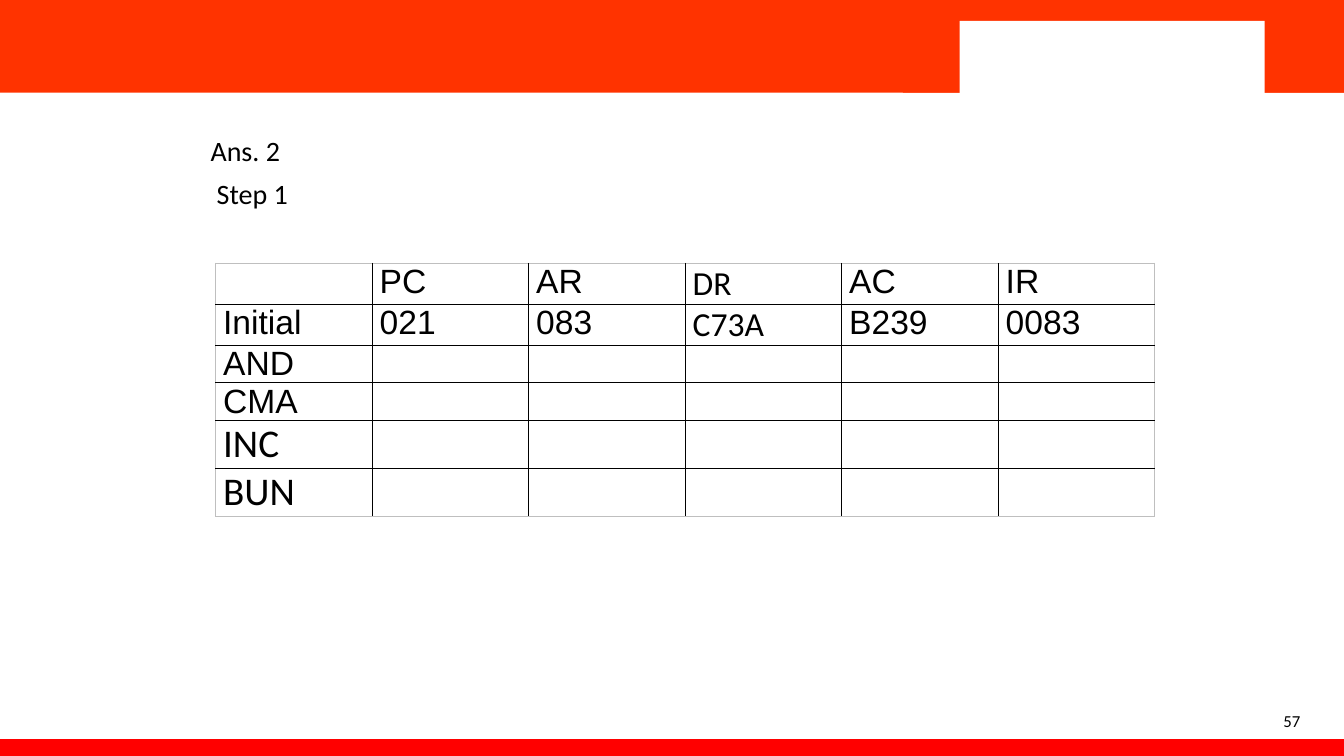
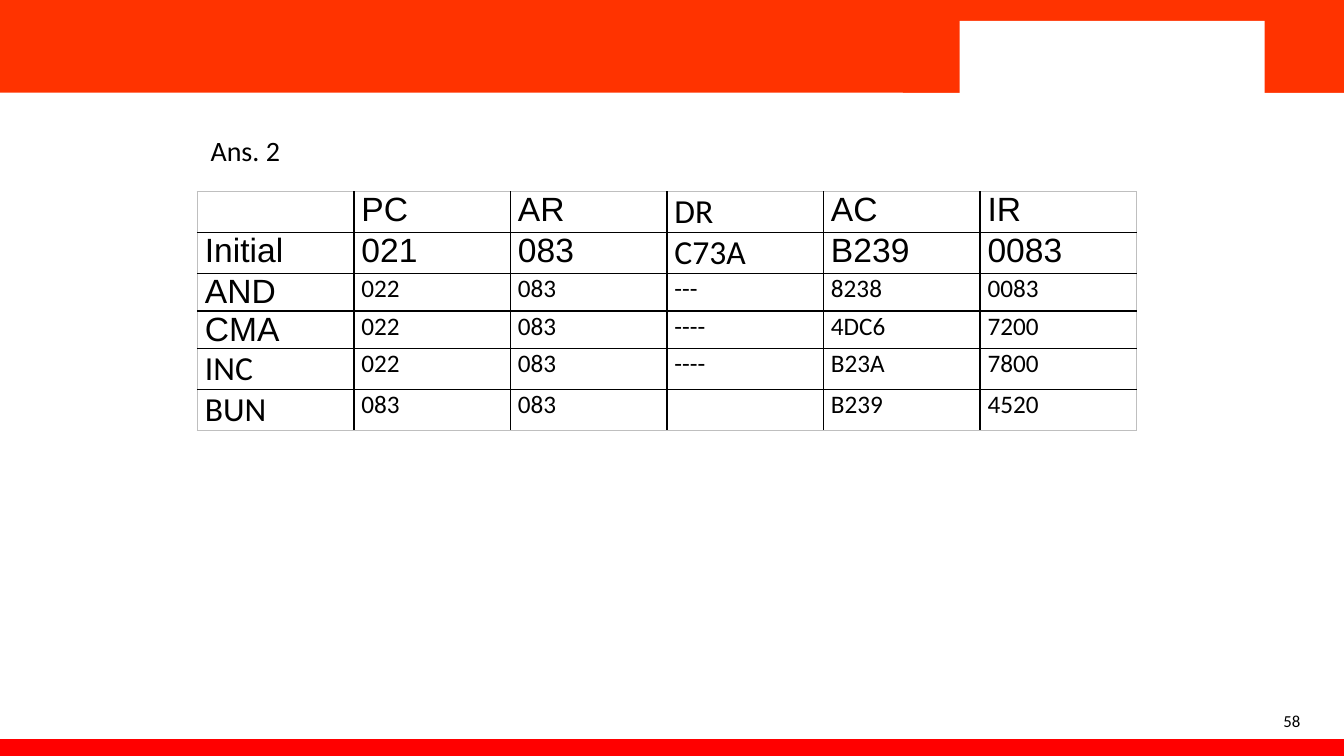
import pptx
import pptx.util
import pptx.dml.color
import pptx.enum.shapes
import pptx.enum.text
import pptx.oxml.ns
import lxml.etree

Pt = pptx.util.Pt
ALIGN = pptx.enum.text.PP_ALIGN
ANCHOR = pptx.enum.text.MSO_ANCHOR

WIDE, HIGH = 960, 540
ORANGE, RED, WHITE, BLACK, GRAY = "FF3300", "FF0000", "FFFFFF", "000000", "BFBFBF"
SANS, BODY = "Arial", "Calibri"
LINES = {(SANS, 24): 26.8, (BODY, 24): 29.3, (BODY, 28): 34.2, (BODY, 18): 22}

HEAD = [
    ["", "PC", "AR", "DR", "AC", "IR"],
    ["Initial", "021", "083", "C73A", "B239", "0083"],
]
BLANK = [[name] + [""] * 5 for name in ("AND", "CMA", "INC", "BUN")]
SOLVED = [
    ["AND", "022", "083", "---", "8238", "0083"],
    ["CMA", "022", "083", "----", "4DC6", "7200"],
    ["INC", "022", "083", "----", "B23A", "7800"],
    ["BUN", "083", "083", "", "B239", "4520"],
]


def paint(fill, color):
    fill.solid()
    fill.fore_color.rgb = pptx.dml.color.RGBColor.from_string(color)


def write(frame, text, size=20, font=BODY, color=BLACK, align=ALIGN.JUSTIFY):
    para = frame.paragraphs[0]
    para.alignment = align
    run = para.add_run()
    run.text = text
    run.font.name = font
    run.font.size = Pt(size)
    paint(run.font.fill, color)


def place(shape, box):
    shape.left, shape.top, shape.width, shape.height = map(Pt, box)


def setup(frame, anchor=ANCHOR.TOP):
    """Fix wrapping, insets and anchor of a text frame."""
    frame.word_wrap = True
    frame.auto_size = pptx.enum.text.MSO_AUTO_SIZE.NONE
    frame.vertical_anchor = anchor
    frame.margin_left = frame.margin_right = Pt(7.2)
    frame.margin_top = frame.margin_bottom = Pt(3.6)


def label(slide, text, box, anchor=ANCHOR.TOP, **style):
    shape = slide.shapes.add_textbox(*map(Pt, box))
    setup(shape.text_frame, anchor)
    write(shape.text_frame, text, **style)


def bands(slide, layout):
    """Draw the shared bands and move them to the layout."""
    parts = [
        ((0, 0, WIDE, 66.2), ORANGE),
        ((0, 528, WIDE, HIGH - 528), RED),
        ((645, 0, WIDE - 645, 66.2), ORANGE),
        ((685.4, 15, 218, 54), WHITE),
    ]
    for spot, (box, color) in enumerate(parts, 2):
        kind = pptx.enum.shapes.MSO_SHAPE.RECTANGLE
        band = slide.shapes.add_shape(kind, *map(Pt, box))
        band.shadow.inherit = False
        paint(band.fill, color)
        band.line.fill.background()
        layout.shapes.element.insert(spot, band.element)


def edge(cell, side, color, width):
    tag = pptx.oxml.ns.qn
    props = cell._tc.get_or_add_tcPr()
    line = lxml.etree.SubElement(props, tag("a:ln" + side), w=str(Pt(width)))
    fill = lxml.etree.SubElement(line, tag("a:solidFill"))
    lxml.etree.SubElement(fill, tag("a:srgbClr"), val=color)


def style(row, col, last):
    """Give the font and size of a cell; last is the size of the INC and BUN labels."""
    if row < 2:
        return (BODY if col == 3 else SANS), 24
    if col:
        return BODY, 18
    return (SANS, 24) if row < 4 else (BODY, last)


def grid(slide, rows, left, top, last):
    count, span = len(rows), len(rows[0])
    fonts = [[style(r, c, last) for c in range(span)] for r in range(count)]
    tall = [max(LINES[font] for font in line) for line in fonts]
    box = map(Pt, (left, top, 111.8 * span, sum(tall)))
    table = slide.shapes.add_table(count, span, *box).table
    table.first_row = table.horz_banding = False
    for r, line in enumerate(rows):
        table.rows[r].height = Pt(tall[r])
        for c, text in enumerate(line):
            cell = table.cell(r, c)
            cell.margin_left = cell.margin_right = Pt(5.4)
            cell.margin_top = cell.margin_bottom = 0
            outer = {"L": c == 0, "R": c == span - 1, "T": r == 0, "B": r == count - 1}
            for side, rim in outer.items():
                edge(cell, side, *((GRAY, 0.75) if rim else (BLACK, 1)))
            cell.fill.background()
            if text:
                font, size = fonts[r][c]
                write(cell.text_frame, text, size=size, font=font)


def answer(deck, layout, number, rows, left, top, last, step=None):
    slide = deck.slides.add_slide(layout)
    title = slide.shapes.title
    place(title, (143.2, 91.4, 660, 31))
    setup(title.text_frame)
    write(title.text_frame, "Ans. 2")
    if step:
        label(slide, step, (147.7, 122.2, 655, 31))
    grid(slide, HEAD + rows, left, top, last)
    label(slide, number, (704, 500.4, 232, 28.8), anchor=ANCHOR.MIDDLE,
          size=12, align=ALIGN.RIGHT)
    return slide


def main():
    deck = pptx.Presentation()
    deck.slide_width, deck.slide_height = Pt(WIDE), Pt(HIGH)
    layout = deck.slide_layouts[5]
    first = answer(deck, layout, "57", BLANK, 154, 188, 28, step="Step 1")
    bands(first, layout)
    answer(deck, layout, "58", SOLVED, 141, 136.8, 24)
    deck.save("out.pptx")


if __name__ == "__main__":
    main()
